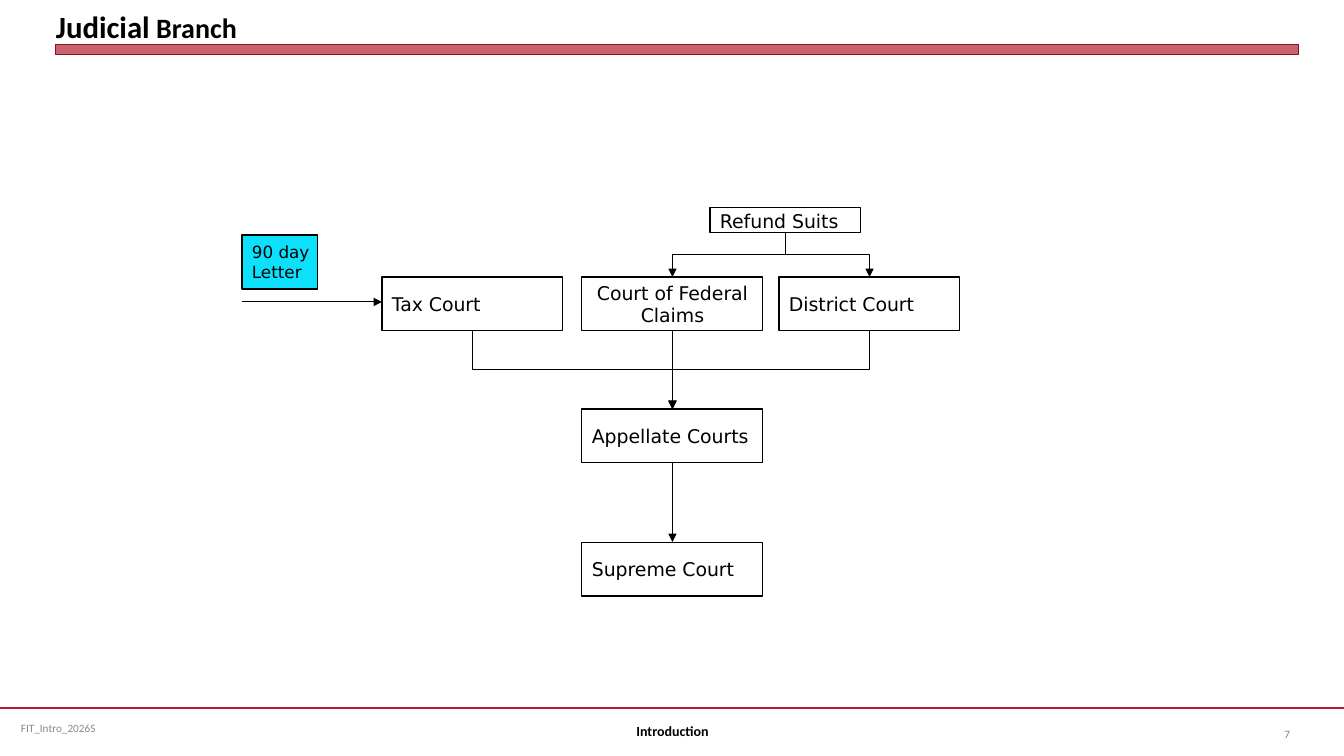
from lxml.etree import SubElement
from pptx import Presentation
from pptx.dml.color import RGBColor
from pptx.enum.shapes import MSO_CONNECTOR as LINK, MSO_SHAPE
from pptx.enum.text import MSO_ANCHOR as ANCHOR, PP_ALIGN as ALIGN
from pptx.oxml.ns import qn
from pptx.util import Pt

PX = 914400 / 100.8
BLACK = RGBColor(0x00, 0x00, 0x00)
CRIMSON = RGBColor(0xB0, 0x1C, 0x2E)
DARK_RED = RGBColor(0x82, 0x15, 0x22)
CYAN = RGBColor(0x0C, 0xE0, 0xFB)
LIGHT_GREY = RGBColor(0x89, 0x89, 0x89)
GREY = RGBColor(0x80, 0x80, 0x80)

deck = Presentation()
deck.slide_width, deck.slide_height = round(1344 * PX), round(756 * PX)
page = deck.slides.add_slide(deck.slide_layouts[6])


def write(shape, text, size, font="DejaVu Sans", color=BLACK, align=ALIGN.LEFT, bold=False, wrap=True):
    frame = shape.text_frame
    frame.text = text
    frame.word_wrap = wrap
    frame.vertical_anchor = ANCHOR.MIDDLE
    for para in frame.paragraphs:
        para.alignment = align
        para.font.name, para.font.size, para.font.bold = font, Pt(size), bold
        para.font.color.rgb = color


def connect(x1, y1, x2, y2, kind=LINK.STRAIGHT, color=BLACK, width=0.75, arrow=True):
    link = page.shapes.add_connector(kind, *[round(v * PX) for v in (x1, y1, x2, y2)])
    link.line.color.rgb, link.line.width = color, Pt(width)
    if arrow:
        SubElement(link.line._get_or_add_ln(), qn("a:tailEnd"), type="triangle")
    SubElement(link._element.spPr, qn("a:effectLst"))
    return link


# Footer rule and title bar
connect(0, 708, 1344, 708, color=CRIMSON, width=1.25, arrow=False)
bar = page.shapes.add_shape(MSO_SHAPE.RECTANGLE, *[round(v * PX) for v in (56, 45, 1243, 10)])
bar.shadow.inherit = False
bar.fill.solid()
bar.fill.fore_color.rgb = CRIMSON
SubElement(bar._element.spPr.find(".//" + qn("a:srgbClr")), qn("a:alpha"), val="69000")
bar.line.color.rgb, bar.line.width = DARK_RED, Pt(0)

# Title
title = page.shapes.add_textbox(*[round(v * PX) for v in (56, 5, 1243, 40)])
frame = title.text_frame
frame.word_wrap = True
frame.vertical_anchor = ANCHOR.BOTTOM
frame.margin_left = frame.margin_top = frame.margin_right = frame.margin_bottom = 0
para = frame.paragraphs[0]
para.font.name, para.font.bold, para.font.color.rgb = "Calibri", True, BLACK
for text, size in (("Judicial", 22), (" Branch", 20)):
    span = para.add_run()
    span.text, span.font.size = text, Pt(size)

# Footer texts
for text, area, size, color, align, bold in (
    ("FIT_Intro_2026S", (11, 708, 347, 40), 8, LIGHT_GREY, ALIGN.LEFT, False),
    ("Introduction", (460, 711, 425, 40), 10, BLACK, ALIGN.CENTER, True),
    ("7", (1233, 714, 67, 40), 8, GREY, ALIGN.RIGHT, False),
):
    box = page.shapes.add_textbox(*[round(v * PX) for v in area])
    write(box, text, size, "Calibri", color, align, bold)

# Courts, refund suits and the 90 day letter
COURT_W, COURT_H = 181, 54
TAX_X, CLAIMS_X, DISTRICT_X = 382, 582, 779
TRIAL_Y, APPEAL_Y, SUPREME_Y = 277, 409, 542
boxes = {}
for text, x, y, width, height in (
    ("Appellate Courts", CLAIMS_X, APPEAL_Y, COURT_W, COURT_H),
    ("Supreme Court", CLAIMS_X, SUPREME_Y, COURT_W, COURT_H),
    ("District Court", DISTRICT_X, TRIAL_Y, COURT_W, COURT_H),
    ("Tax Court", TAX_X, TRIAL_Y, COURT_W, COURT_H),
    ("Court of Federal Claims", CLAIMS_X, TRIAL_Y, COURT_W, COURT_H),
    ("Refund Suits", 710, 208, 151, 25),
    ("90 day\nLetter", 242, 235, 76, 54),
):
    box = page.shapes.add_shape(MSO_SHAPE.RECTANGLE, *[round(v * PX) for v in (x, y, width, height)])
    box.shadow.inherit = False
    box.line.color.rgb, box.line.width = BLACK, Pt(0.75)
    is_letter = text.startswith("90")
    if is_letter:
        box.fill.solid()
        box.fill.fore_color.rgb = CYAN
    else:
        box.fill.background()
    write(box, text, 12 if is_letter else 13.5, wrap=width == COURT_W,
          align=ALIGN.CENTER if "Claims" in text else ALIGN.LEFT)
    boxes[text] = box

# Straight arrows
TAX_MID, CLAIMS_MID, DISTRICT_MID = [x + COURT_W / 2 for x in (TAX_X, CLAIMS_X, DISTRICT_X)]
TRIAL_END = TRIAL_Y + COURT_H
for upper, lower in (("Court of Federal Claims", "Appellate Courts"),
                     ("Appellate Courts", "Supreme Court")):
    link = connect(CLAIMS_MID, TRIAL_END, CLAIMS_MID, APPEAL_Y)
    link.begin_connect(boxes[upper], 2)
    link.end_connect(boxes[lower], 0)
connect(242, 302, TAX_X, 302)

# Elbow arrows leave downwards: a sideways elbow turned by a quarter
REFUND_MID = 710 + 151 / 2
for x1, y1, x2, y2 in (
    (REFUND_MID, 233, CLAIMS_MID, TRIAL_Y),
    (REFUND_MID, 233, DISTRICT_MID, TRIAL_Y),
    (TAX_MID, TRIAL_END, CLAIMS_MID, APPEAL_Y),
    (DISTRICT_MID, TRIAL_END, CLAIMS_MID, APPEAL_Y),
):
    mid_x, mid_y = (x1 + x2) / 2, (y1 + y2) / 2
    to_right = x2 > x1
    half_run = (y1 - y2 if to_right else y2 - y1) / 2
    half_rise = abs(x2 - x1) / 2
    link = connect(mid_x - half_run, mid_y - half_rise, mid_x + half_run, mid_y + half_rise, LINK.ELBOW)
    link._element.spPr.find(qn("a:xfrm")).set("rot", str((270 if to_right else 90) * 60000))

deck.save("out.pptx")
